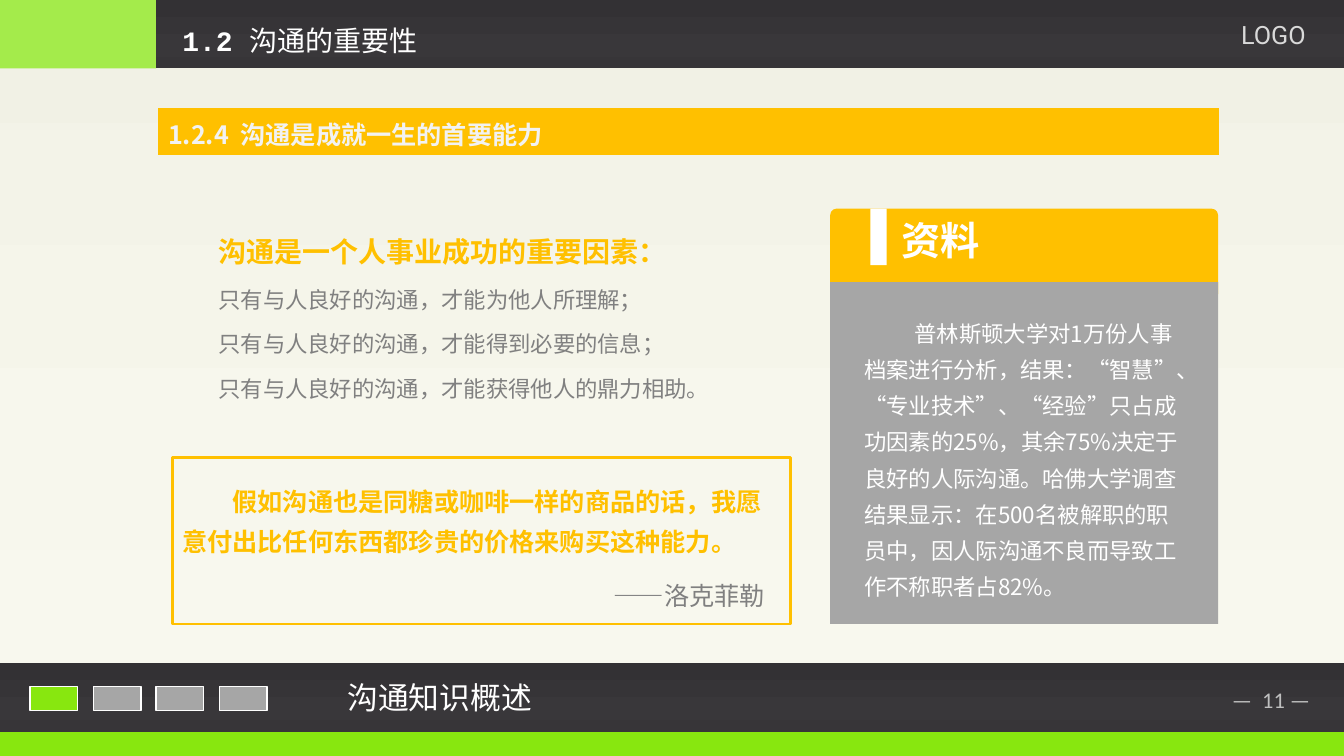
from copy import deepcopy

from lxml import etree
from pptx import Presentation
from pptx import util as u
from pptx.dml.color import RGBColor
from pptx.enum import shapes, text
from pptx.oxml.ns import qn

PX = 9144
CJK = "Noto Sans CJK SC"
COLORS = {
    "green": "88E70F",
    "pale_green": "A4EB4B",
    "amber": "FFC000",
    "white": "FFFFFF",
    "panel": "A6A6A6",
    "body": "808080",
    "heading": "F2F2F2",
    "logo": "D9D9D9",
    "number": "BFBFBF",
}
DARK = [(0, "333134"), (74, "39373A"), (83, "373538"), (100, "363436")]
CREAM = [(0, "F1F1E5"), (74, "F7F7ED"), (83, "F8F8EE"), (100, "F9F9EF")]
RECTANGLE = shapes.MSO_SHAPE.RECTANGLE
LEFT, CENTER, RIGHT = text.PP_ALIGN.LEFT, text.PP_ALIGN.CENTER, text.PP_ALIGN.RIGHT
TOP, MIDDLE = text.MSO_ANCHOR.TOP, text.MSO_ANCHOR.MIDDLE

presentation = Presentation()
presentation.slide_width = 1334 * PX
presentation.slide_height = 750 * PX
slide = presentation.slides.add_slide(presentation.slide_layouts[5])


def add_block(place, fill=None, line=None, width=1.2, kind=RECTANGLE):
    shape = slide.shapes.add_shape(kind, *[value * PX for value in place])
    shape.shadow.inherit = False
    if isinstance(fill, list):
        shape.fill.gradient()
        shape.fill.gradient_angle = 270
        stop_list = shape._element.find(".//" + qn("a:gsLst"))
        while len(stop_list) < len(fill):
            stop_list.append(deepcopy(stop_list[0]))
        for stop, (position, color) in zip(shape.fill.gradient_stops, fill):
            stop.position = position / 100
            stop.color.rgb = RGBColor.from_string(color)
    elif fill:
        shape.fill.solid()
        shape.fill.fore_color.rgb = RGBColor.from_string(COLORS[fill])
    else:
        shape.fill.background()
    if line:
        shape.line.color.rgb = RGBColor.from_string(COLORS[line])
        shape.line.width = u.Pt(width)
    else:
        shape.line.fill.background()
    return shape


def write(shape, paragraphs, align=LEFT, anchor=TOP, spacing=1.0, indent=0, wrap=True):
    frame = shape.text_frame
    frame.word_wrap = wrap
    frame.auto_size = text.MSO_AUTO_SIZE.NONE
    frame.vertical_anchor = anchor
    frame.margin_left = frame.margin_right = 10 * PX
    frame.margin_top = frame.margin_bottom = 5 * PX
    for index, runs in enumerate(paragraphs):
        paragraph = frame.add_paragraph() if index else frame.paragraphs[0]
        paragraph.alignment = align
        paragraph.line_spacing = spacing
        paragraph.space_before = u.Pt(6 if index else 0)
        if indent:
            paragraph._p.get_or_add_pPr().set("indent", str(indent * PX))
        for words, size, color, bold, font in runs:
            run = paragraph.add_run()
            run.text = words
            run.font.size = u.Pt(size)
            run.font.bold = bold
            run.font.color.rgb = RGBColor.from_string(COLORS[color])
            run.font.name = font
            etree.SubElement(run.font._element, qn("a:ea")).set("typeface", font)


add_block((0, 0, 1334, 658), CREAM)
add_block((0, 726, 1334, 24), "green")
add_block((0, 658, 1334, 68), DARK)
add_block((0, 0, 155, 68), "pale_green")
add_block((155, 0, 1179, 68), DARK)
for step in range(4):
    add_block((30 + round(62.6 * step), 681, 47, 24), "panel" if step else "green", "white")

title = slide.shapes.title
title.left, title.top, title.width, title.height = [value * PX for value in (171, 18, 386, 44)]
write(title, [[("1.2 ", 20, "white", True, "Courier New"), ("沟通的重要性", 20, "white", False, CJK)]])
slide.shapes._spTree.append(title._element)

section = add_block((157, 107, 1053, 47), "amber", kind=shapes.MSO_SHAPE.FLOWCHART_PROCESS)
write(section, [[("1.2.4  沟通是成就一生的首要能力", 18, "heading", True, CJK)]], anchor=MIDDLE, spacing=1.2)

add_block((171, 454, 614, 165), line="amber", width=2)
card_header = add_block((824, 207, 385, 91), "amber", kind=shapes.MSO_SHAPE.ROUNDED_RECTANGLE)
card_header.adjustments[0] = 0.07
add_block((824, 280, 385, 339), "panel")

factors = [[("沟通是一个人事业成功的重要因素：", 20, "amber", True, CJK)]]
for result in ("为他人所理解；", "得到必要的信息；", "获得他人的鼎力相助。"):
    factors.append([("只有与人良好的沟通，才能" + result, 16, "body", False, CJK)])
quote = "假如沟通也是同糖或咖啡一样的商品的话，我愿意付出比任何东西都珍贵的价格来购买这种能力。"
evidence = (
    "普林斯顿大学对1万份人事档案进行分析，结果：“智慧”、“专业技术”、“经验”只占成功因素的25%，"
    "其余75%决定于良好的人际沟通。哈佛大学调查结果显示：在500名被解职的职员中，"
    "因人际沟通不良而导致工作不称职者占82%。"
)
text_boxes = [
    ((1213, 676, 107, 37), [[("—  11 —", 16, "number", False, "Calibri")]], {"wrap": False}),
    ((1222, 14, 98, 40), [[("LOGO", 18, "logo", False, "Roboto")]], {}),
    ((335, 668, 427, 47), [[("沟通知识概述", 22, "white", False, CJK)]], {}),
    ((157, 216, 628, 190), factors, {"spacing": 1.35, "indent": 50}),
    ((171, 469, 614, 89), [[(quote, 18, "amber", True, CJK)]], {"spacing": 1.3, "indent": 50}),
    ((478, 571, 291, 40), [[("——洛克菲勒", 18, "body", False, CJK)]], {"align": RIGHT}),
    ((848, 303, 339, 301), [[(evidence, 16, "white", False, CJK)]], {"spacing": 1.35, "indent": 50}),
    ((824, 210, 220, 55), [[("资料", 28, "white", True, CJK)]], {"align": CENTER, "anchor": MIDDLE}),
]
for place, paragraphs, options in text_boxes:
    write(slide.shapes.add_textbox(*[value * PX for value in place]), paragraphs, **options)

add_block((864, 207, 16, 56), "white")

presentation.save("out.pptx")
